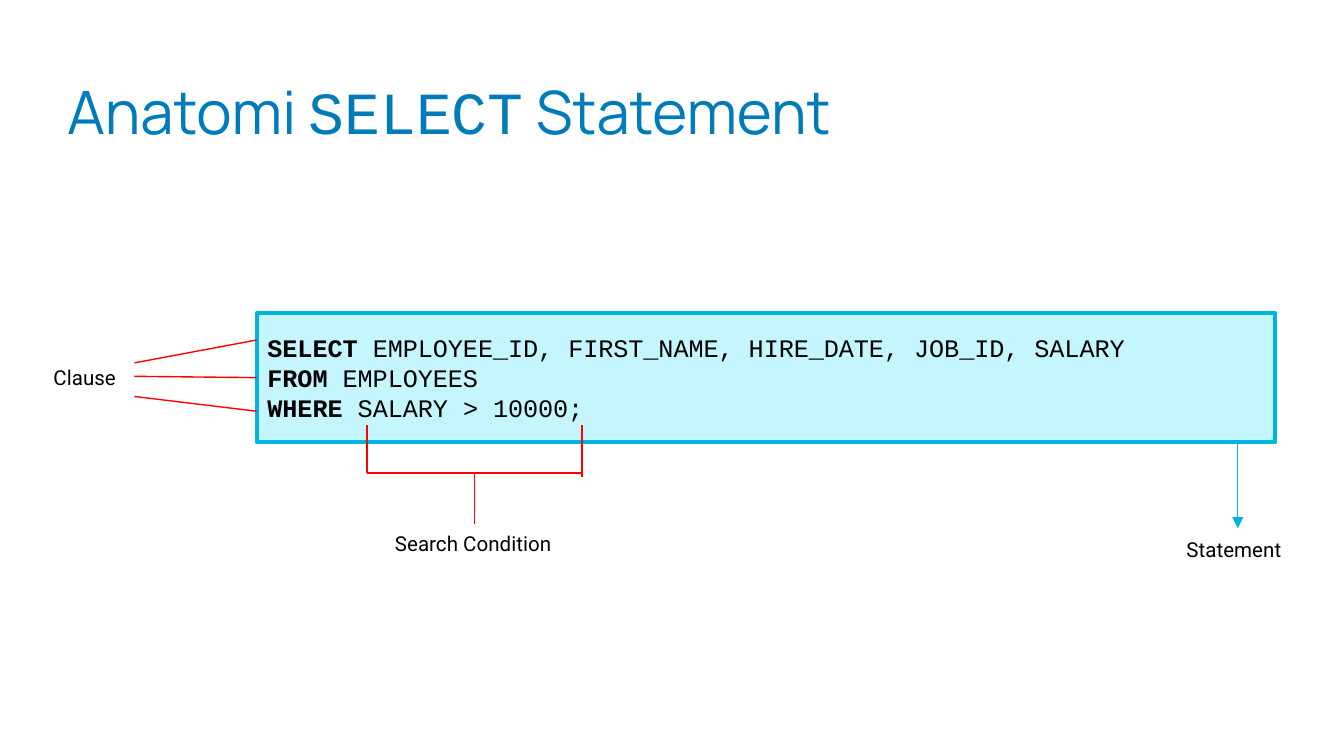
from dataclasses import dataclass
from typing import Any

from lxml import etree
from pptx import Presentation
from pptx import util as u
from pptx.dml.color import RGBColor
from pptx.enum import shapes, text
from pptx.oxml.ns import qn

COLORS = {
    "title": "007BB9",
    "ink": "000000",
    "code_fill": "C5F5FF",
    "code_border": "00B5DD",
    "clause": "FF0000",
    "statement": "00B1D8",
}


@dataclass
class Diagram:
    """Draws the annotated statement on one slide in a shared style."""

    slide: Any
    body_font: str = "Roboto"
    code_font: str = "Courier New"
    title_font: str = "Manrope"

    def color(self, name):
        return RGBColor.from_string(COLORS[name])

    def frame(self, shape, margin_x, margin_y, anchor):
        frame = shape.text_frame
        frame.word_wrap = True
        frame.margin_left = frame.margin_right = u.Inches(margin_x)
        frame.margin_top = frame.margin_bottom = u.Inches(margin_y)
        frame.vertical_anchor = anchor
        return frame

    def run(self, paragraph, words, font, size, color, bold=False):
        run = paragraph.add_run()
        run.text = words
        run.font.name = font
        run.font.size = u.Pt(size)
        run.font.bold = bold
        run.font.color.rgb = self.color(color)

    def text_box(self, box, margin_x, margin_y):
        area = self.slide.shapes.add_textbox(*map(u.Inches, box))
        return self.frame(area, margin_x, margin_y, text.MSO_ANCHOR.TOP)

    def title(self, box, pieces):
        heading = self.text_box(box, 0, 0).paragraphs[0]
        heading.line_spacing = 0.8
        for words, font in pieces:
            self.run(heading, words, font, 32, "title")

    def label(self, box, words):
        caption = self.text_box(box, 0.1, 0.05)
        caption.auto_size = text.MSO_AUTO_SIZE.SHAPE_TO_FIT_TEXT
        self.run(caption.paragraphs[0], words, self.body_font, 11, "ink")

    def code(self, box, clauses):
        panel = self.slide.shapes.add_shape(
            shapes.MSO_SHAPE.RECTANGLE, *map(u.Inches, box))
        panel.shadow.inherit = False
        panel.fill.solid()
        panel.fill.fore_color.rgb = self.color("code_fill")
        panel.line.color.rgb = self.color("code_border")
        panel.line.width = u.Pt(2.25)
        frame = self.frame(panel, 0.08, 0.04, text.MSO_ANCHOR.MIDDLE)
        for index, (keyword, rest) in enumerate(clauses):
            row = frame.add_paragraph() if index else frame.paragraphs[0]
            row.alignment = text.PP_ALIGN.LEFT
            self.run(row, keyword, self.code_font, 13.5, "ink", bold=True)
            self.run(row, rest, self.code_font, 13.5, "ink")

    def line(self, start, end, color, arrow=False):
        link = self.slide.shapes.add_connector(
            shapes.MSO_CONNECTOR.STRAIGHT, *map(u.Inches, (*start, *end)))
        link.line.color.rgb = self.color(color)
        link.line.width = u.Pt(0.75)
        if arrow:
            stroke = link.line._get_or_add_ln()
            etree.SubElement(stroke, qn("a:tailEnd"), type="triangle")
        etree.SubElement(link._element.spPr, qn("a:effectLst"))


def main():
    deck = Presentation()
    deck.slide_width = u.Inches(10)
    deck.slide_height = deck.slide_width * 9 // 16
    diagram = Diagram(deck.slides.add_slide(deck.slide_layouts[6]))

    diagram.title((0.5, 0.66, 6.17, 1.18), [
        ("Anatomi ", diagram.title_font),
        ("SELECT", diagram.code_font),
        (" Statement", diagram.title_font),
    ])

    left, top, width, height = 1.91, 2.33, 7.58, 0.96
    diagram.code((left, top, width, height), [
        ("SELECT", " EMPLOYEE_ID, FIRST_NAME, HIRE_DATE, JOB_ID, SALARY"),
        ("FROM", " EMPLOYEES"),
        ("WHERE", " SALARY > 10000;"),
    ])

    diagram.label((0.3, 2.67, 0.77, 0.3), "Clause")
    for clause_y, label_y in [(2.53, 2.7), (2.81, 2.8), (3.06, 2.95)]:
        diagram.line((left, clause_y), (1, label_y), "clause")

    start, end, bracket_top, bracket_bottom = 2.73, 4.33, 3.16, 3.52
    middle = (start + end) / 2
    diagram.line((end, bracket_bottom), (start, bracket_bottom), "clause")
    diagram.line((start, bracket_bottom), (start, bracket_top), "clause")
    diagram.line((end, bracket_bottom + 0.03), (end, bracket_top), "clause")
    diagram.line((middle, 3.9), (middle, bracket_bottom), "clause")
    diagram.label((2.84, 3.9, 1.39, 0.3), "Search Condition")

    diagram.line((9.21, top + height), (9.21, 3.93), "statement", arrow=True)
    diagram.label((8.73, 3.95, 0.97, 0.3), "Statement")

    deck.save("out.pptx")


if __name__ == "__main__":
    main()
